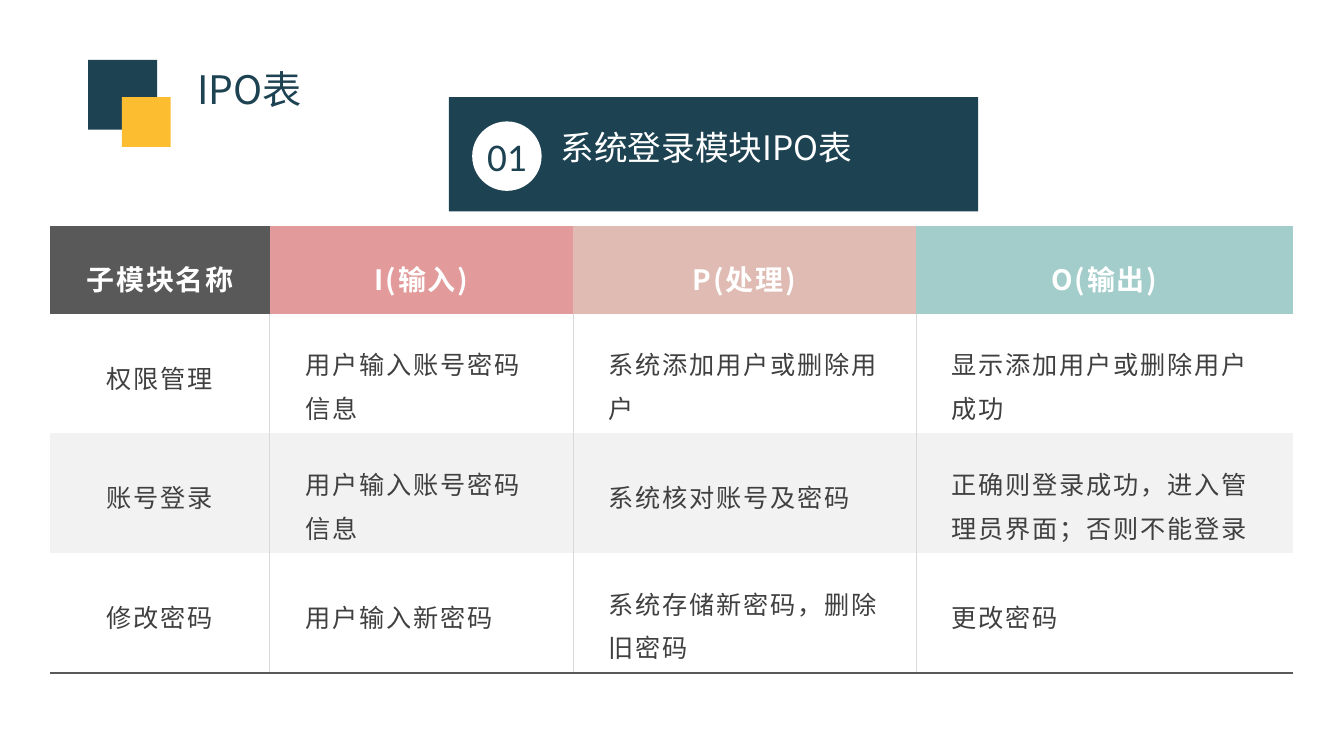
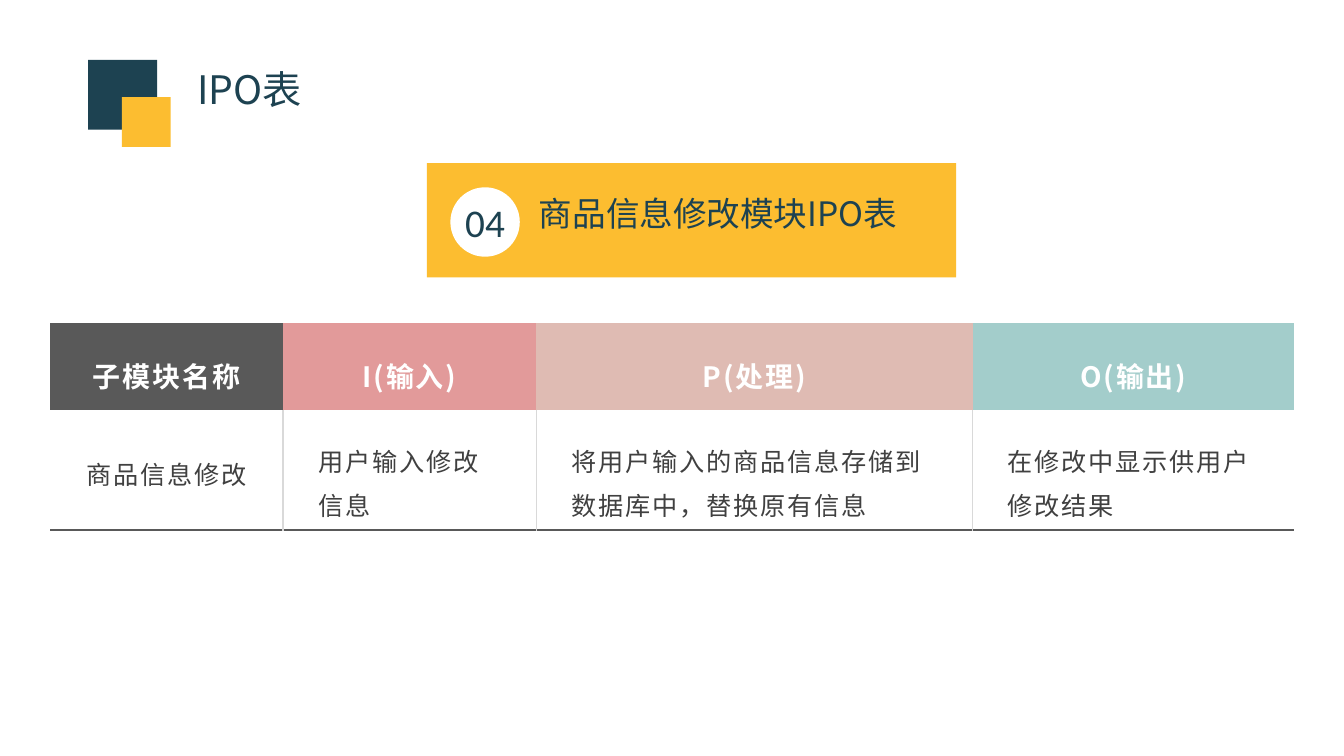
import pptx
import pptx.dml.color
import pptx.enum.shapes
import pptx.enum.text
import pptx.oxml
import pptx.oxml.ns
import pptx.util
from pptx.util import Cm

SHAPE = pptx.enum.shapes.MSO_SHAPE
ALIGN = pptx.enum.text.PP_ALIGN
ANCHOR = pptx.enum.text.MSO_ANCHOR

COLORS = {
    "navy": "1D4251", "amber": "FCBD30", "white": "FFFFFF",
    "gray": "595959", "rose": "E29A9A", "sand": "DFBBB3", "aqua": "A3CDCB",
    "text": "404040", "band": "F2F2F2", "grid": "D9D9D9",
}
TITLE_FONT, TABLE_FONT, NUMBER_FONT = "Noto Sans CJK JP", "Noto Sans CJK SC", "Calibri"
HEADERS = [("子模块名称", "gray"), ("I(输入)", "rose"), ("P(处理)", "sand"), ("O(输出)", "aqua")]
NO_STYLE = "{2D5ABB26-0587-4C30-8999-92F81FD0307C}"
HEADER_HEIGHT, ROW_HEIGHT = 2.21, 3.02
CELL_SIDE, CELL_TOP, CHAR_WIDTH = 0.89, 0.61, 0.67


def rgb(name):
    return pptx.dml.color.RGBColor.from_string(COLORS[name])


def apply(obj, fmt):
    for key, value in fmt.items():
        setattr(obj, key, value)


class Deck:
    def __init__(self):
        self.prs = pptx.Presentation()
        apply(self.prs, {"slide_width": Cm(33.87), "slide_height": Cm(19.05)})
        self.s = None

    def slide(self, title):
        self.s = self.prs.slides.add_slide(self.prs.slide_layouts[5])
        sp = self.s.shapes.title
        apply(sp, {"left": Cm(4.72), "top": Cm(1.52), "width": Cm(8.94), "height": Cm(1.45)})
        apply(sp.text_frame, {"vertical_anchor": ANCHOR.MIDDLE, "word_wrap": True,
                              "auto_size": pptx.enum.text.MSO_AUTO_SIZE.NONE})
        self.text(sp.text_frame, title, TITLE_FONT, 28, "navy")
        self.shape(SHAPE.RECTANGLE, 2.22, 1.51, 1.74, 1.76, "navy")
        self.shape(SHAPE.RECTANGLE, 3.07, 2.45, 1.23, 1.25, "amber")

    def text(self, tf, text, font, size, color, align=ALIGN.LEFT, bold=False,
             line=None, spacing=None):
        p = tf.paragraphs[0]
        apply(p, {"alignment": align, "line_spacing": line})
        r = p.add_run()
        r.text = text
        apply(r.font, {"name": font, "size": pptx.util.Pt(size), "bold": bold})
        r.font.color.rgb = rgb(color)
        rpr = r.font._element
        ea = pptx.oxml.parse_xml(f'<a:ea {pptx.oxml.ns.nsdecls("a")} typeface="{font}"/>')
        rpr.find(pptx.oxml.ns.qn("a:latin")).addnext(ea)
        if spacing:
            rpr.set("spc", str(spacing))

    def shape(self, kind, x, y, w, h, color):
        sp = self.s.shapes.add_shape(kind, Cm(x), Cm(y), Cm(w), Cm(h))
        sp.shadow.inherit = False
        sp.fill.solid()
        sp.fill.fore_color.rgb = rgb(color)
        sp.line.fill.background()
        return sp

    def banner(self, x, y, number, label, label_width, fill, color):
        self.shape(SHAPE.RECTANGLE, x, y, 13.34, 2.88, fill)
        tf = self.shape(SHAPE.OVAL, x + 0.59, y + 0.61, 1.75, 1.75, "white").text_frame
        apply(tf, {"vertical_anchor": ANCHOR.MIDDLE, "margin_left": 0, "margin_right": 0,
                   "margin_top": 0, "margin_bottom": 0})
        self.text(tf, number, NUMBER_FONT, 28, "navy", ALIGN.CENTER)
        tb = self.s.shapes.add_textbox(Cm(x + 2.57), Cm(y + 0.62), Cm(label_width), Cm(2.26))
        tb.text_frame.word_wrap = True
        self.text(tb.text_frame, label, TITLE_FONT, 24, color)

    def border(self, cell, side, color, width):
        ln = pptx.oxml.parse_xml(
            f'<a:ln{side} {pptx.oxml.ns.nsdecls("a")} w="{pptx.util.Pt(width)}">'
            f'<a:solidFill><a:srgbClr val="{COLORS[color]}"/></a:solidFill></a:ln{side}>')
        tcpr = cell._tc.get_or_add_tcPr()
        tcpr.insert(len(tcpr) - 1, ln)

    def cell(self, cell, text, fill, bottom, **style):
        apply(cell, {"vertical_anchor": ANCHOR.MIDDLE,
                     "margin_left": Cm(CELL_SIDE), "margin_right": Cm(CELL_SIDE),
                     "margin_top": Cm(CELL_TOP), "margin_bottom": Cm(bottom)})
        cell.fill.solid()
        cell.fill.fore_color.rgb = rgb(fill)
        self.text(cell.text_frame, text, TABLE_FONT, line=1.2, spacing=130, **style)

    def table(self, y, widths, rows):
        frame = self.s.shapes.add_table(len(rows) + 1, len(widths), Cm(1.27), Cm(y),
                                        Cm(sum(widths)),
                                        Cm(HEADER_HEIGHT + ROW_HEIGHT * len(rows)))
        tbl = frame.table
        apply(tbl, {"first_row": False, "horz_banding": False})
        tbl._tbl.tblPr.find(pptx.oxml.ns.qn("a:tableStyleId")).text = NO_STYLE
        for column, width in zip(tbl.columns, widths):
            column.width = Cm(width)
        for i, row in enumerate(tbl.rows):
            row.height = Cm(ROW_HEIGHT if i else HEADER_HEIGHT)
        for c, (text, fill) in enumerate(HEADERS):
            self.cell(tbl.cell(0, c), text, fill, 0.36, size=20, color="white",
                      align=ALIGN.CENTER, bold=True)
        for i, texts in enumerate(rows, 1):
            for c, (text, width) in enumerate(zip(texts, widths)):
                cell = tbl.cell(i, c)
                wraps = len(text) * CHAR_WIDTH > width - 2 * CELL_SIDE
                self.cell(cell, text, "white" if i % 2 else "band",
                          0.19 if wraps else CELL_TOP, size=18, color="text",
                          align=ALIGN.LEFT if c else ALIGN.CENTER)
                if c > 0:
                    self.border(cell, "L", "grid", 1 if c == 1 else 0.5)
                if c < len(texts) - 1:
                    self.border(cell, "R", "grid", 0.5 if c else 1)
                if i == len(rows):
                    self.border(cell, "B", "gray", 1.5)


def main():
    deck = Deck()

    deck.slide("IPO表")
    deck.table(5.69, [5.53, 7.64, 8.64, 9.5], [
        ["权限管理", "用户输入账号密码信息", "系统添加用户或删除用户", "显示添加用户或删除用户成功"],
        ["账号登录", "用户输入账号密码信息", "系统核对账号及密码",
         "正确则登录成功，进入管理员界面；否则不能登录"],
        ["修改密码", "用户输入新密码", "系统存储新密码，删除旧密码", "更改密码"],
    ])
    deck.banner(11.31, 2.45, "01", "系统登录模块IPO表", 8.23, "navy", "white")

    deck.slide("IPO表")
    deck.table(8.13, [5.86, 6.38, 11, 8.1], [
        ["商品信息修改", "用户输入修改信息",
         "将用户输入的商品信息存储到数据库中，替换原有信息", "在修改中显示供用户修改结果"],
    ])
    deck.banner(10.76, 4.11, "04", "商品信息修改模块IPO表", 9.78, "amber", "navy")

    deck.prs.save("out.pptx")


if __name__ == "__main__":
    main()
